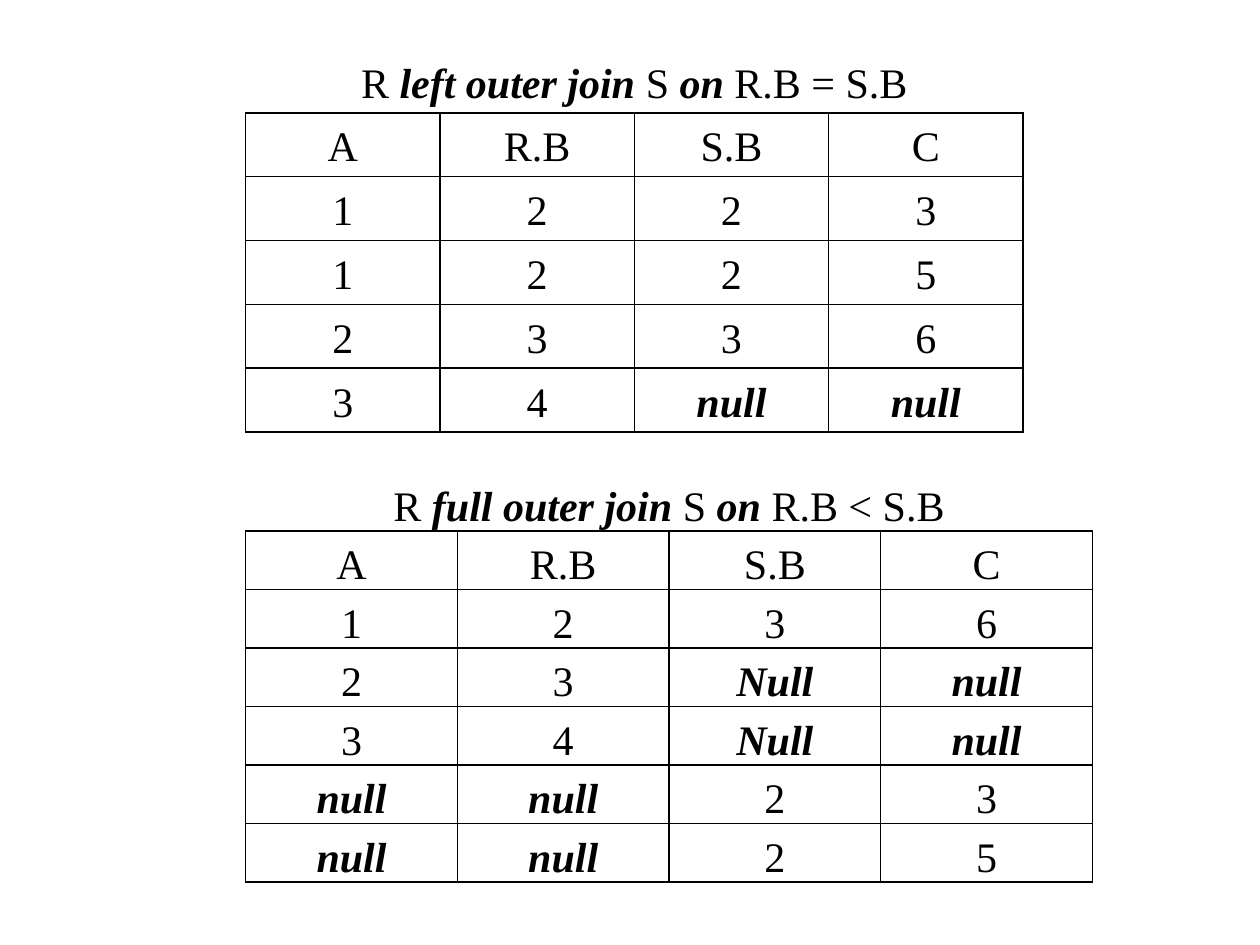
from lxml import etree
from pptx import Presentation
from pptx.dml.color import RGBColor
from pptx.enum import text
from pptx.oxml.ns import qn
from pptx.util import Inches, Pt

COLORS = {"ink": "000000", "paper": "FFFFFF"}
FONT = "Times New Roman"
SLIDE_W, SLIDE_H = Inches(10), Inches(7.5)
PLAIN_STYLE = "{2D5ABB26-0587-4C30-8999-92F81FD0307C}"

LEFT_JOIN = [("R ", False), ("left outer join ", True), ("S ", False),
             ("on", True), (" R.B = S.B", False)]
FULL_JOIN = [("R", False), (" full outer join ", True), ("S ", False),
             ("on", True), (" R.B < S.B", False)]
LEFT_ROWS = ["A R.B S.B C", "1 2 2 3", "1 2 2 5", "2 3 3 6", "3 4 null null"]
FULL_ROWS = ["A R.B S.B C", "1 2 3 6", "2 3 Null null", "3 4 Null null",
             "null null 2 3", "null null 2 5"]


def write(cell, pieces):
    """Write (words, emphasised) pieces as one centred line."""
    cell.margin_left = cell.margin_right = Inches(0.07)
    cell.margin_top = cell.margin_bottom = 0
    line = cell.text_frame.paragraphs[0]
    line.alignment = text.PP_ALIGN.CENTER
    line.line_spacing = 1.25
    for words, emphasised in pieces:
        run = line.add_run()
        run.text = words
        run.font.name, run.font.size = FONT, Pt(24)
        run.font.bold = run.font.italic = emphasised
        run.font.color.rgb = RGBColor.from_string(COLORS["ink"])


def rule(cell, sides):
    """Draw the named sides of a cell and leave its other sides bare."""
    props = cell._tc.get_or_add_tcPr()
    for side in "LRTB":
        border = etree.SubElement(props, qn(f"a:ln{side}"), w=str(Pt(1)))
        if side in sides:
            fill = etree.SubElement(border, qn("a:solidFill"))
            etree.SubElement(fill, qn("a:srgbClr"), val=COLORS["ink"])
        else:
            etree.SubElement(border, qn("a:noFill"))
    cell.fill.background()


def join_table(slide, box, title, rows):
    """Place a join result, headed by its expression, in a box of slide shares."""
    left, top, width, height = box
    records = [row.split() for row in rows]
    columns = len(records[0])
    frame = slide.shapes.add_table(
        len(records) + 1, columns, int(left * SLIDE_W), int(top * SLIDE_H),
        int(width * SLIDE_W), int(height * SLIDE_H))
    table = frame.table
    table.first_row = table.horz_banding = False
    frame._element.find(".//" + qn("a:tableStyleId")).text = PLAIN_STYLE

    # Join expression across the top
    heading = table.cell(0, 0)
    heading.merge(table.cell(0, columns - 1))
    write(heading, title)
    for c in range(columns):
        rule(table.cell(0, c), "B")

    # Column names and tuples
    for r, record in enumerate(records, 1):
        for c, value in enumerate(record):
            write(table.cell(r, c), [(value, value.lower() == "null")])
            rule(table.cell(r, c), "LRTB")


def main():
    deck = Presentation()
    deck.slide_width, deck.slide_height = SLIDE_W, SLIDE_H
    slide = deck.slides.add_slide(deck.slide_layouts[6])
    slide.background.fill.solid()
    slide.background.fill.fore_color.rgb = RGBColor.from_string(COLORS["paper"])

    # Shares are rounded to hundredths of an inch
    join_table(slide, (1.95 / 10, 0.39 / 7.5, 6.17 / 10, 3.04 / 7.5),
               LEFT_JOIN, LEFT_ROWS)
    join_table(slide, (1.95 / 10, 3.75 / 7.5, 6.72 / 10, 3.25 / 7.5),
               FULL_JOIN, FULL_ROWS)
    deck.save("out.pptx")


if __name__ == "__main__":
    main()
